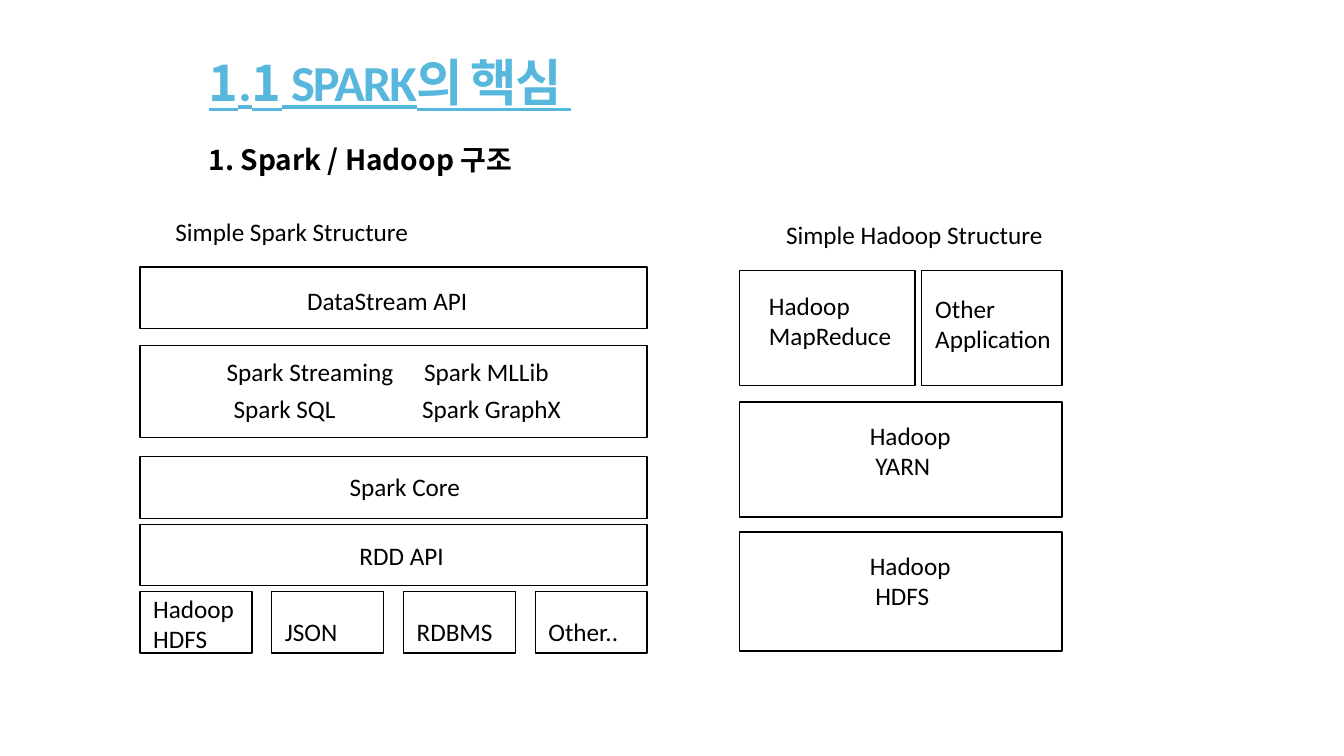
import dataclasses

import pptx
import pptx.dml.color
import pptx.enum.shapes
import pptx.enum.text
import pptx.oxml
import pptx.oxml.ns
import pptx.util

Cm = pptx.util.Cm
Pt = pptx.util.Pt


@dataclasses.dataclass(frozen=True)
class Theme:
    latin: str = "Calibri"
    korean: str = "Noto Sans CJK KR"
    accent: str = "58B7DD"
    ink: str = "000000"
    paper: str = "FFFFFF"
    title_size: int = 36
    subtitle_size: int = 20
    label_size: int = 18
    line_width: int = 1
    title_spacing: int = -140


def color(value):
    return pptx.dml.color.RGBColor.from_string(value)


def write(paragraph, text, *, font, size, ink, east_asian=None, bold=False,
          underline=False, spacing=0):
    run = paragraph.add_run()
    run.text = text
    run.font.name = font
    run.font.size = Pt(size)
    run.font.bold = bold
    run.font.underline = underline
    run.font.color.rgb = color(ink)
    properties = run.font._element
    properties.set("spc", str(spacing))
    if east_asian:
        face = pptx.oxml.parse_xml(
            f'<a:ea {pptx.oxml.ns.nsdecls("a")} typeface="{east_asian}"/>')
        properties.find(pptx.oxml.ns.qn("a:latin")).addnext(face)


class StructureSlide:
    def __init__(self, presentation, theme):
        self.theme = theme
        self.slide = presentation.slides.add_slide(presentation.slide_layouts[1])

    def place(self, placeholder, left, top, width, height):
        placeholder.left, placeholder.top = Cm(left), Cm(top)
        placeholder.width, placeholder.height = Cm(width), Cm(height)
        frame = placeholder.text_frame
        frame.margin_left = frame.margin_right = 0
        frame.margin_top = frame.margin_bottom = 0
        frame.auto_size = pptx.enum.text.MSO_AUTO_SIZE.NONE
        frame.vertical_anchor = pptx.enum.text.MSO_ANCHOR.TOP
        frame.word_wrap = True
        paragraph = frame.paragraphs[0]
        paragraph.alignment = pptx.enum.text.PP_ALIGN.LEFT
        paragraph.space_before = Pt(0)
        return paragraph

    def title(self, parts, *bounds):
        heading = self.place(self.slide.shapes.title, *bounds)
        for text, font in parts:
            write(heading, text, font=font, size=self.theme.title_size,
                  ink=self.theme.accent, east_asian=self.theme.korean,
                  bold=True, underline=True, spacing=self.theme.title_spacing)

    def subtitle(self, text, *bounds):
        item = self.place(self.slide.placeholders[1], *bounds)
        properties = item._p.get_or_add_pPr()
        properties.set("marL", "0")
        properties.set("indent", "0")
        properties.append(pptx.oxml.parse_xml(
            f'<a:buNone {pptx.oxml.ns.nsdecls("a")}/>'))
        write(item, text, font=self.theme.korean, size=self.theme.subtitle_size,
              ink=self.theme.ink, east_asian=self.theme.korean, bold=True)

    def layer(self, left, top, width, height):
        box = self.slide.shapes.add_shape(
            pptx.enum.shapes.MSO_SHAPE.RECTANGLE,
            Cm(left), Cm(top), Cm(width), Cm(height))
        box.shadow.inherit = False
        box.fill.solid()
        box.fill.fore_color.rgb = color(self.theme.paper)
        box.line.color.rgb = color(self.theme.ink)
        box.line.width = Pt(self.theme.line_width)

    def label(self, text, left, top, width=5.6, second_indent=0):
        lines = text.split("\n")
        area = self.slide.shapes.add_textbox(
            Cm(left), Cm(top), Cm(width), Cm(0.25 + 0.77 * len(lines)))
        frame = area.text_frame
        frame.word_wrap = True
        for number, line in enumerate(lines):
            paragraph = frame.add_paragraph() if number else frame.paragraphs[0]
            if number and second_indent:
                paragraph._p.get_or_add_pPr().set("marL", str(Cm(second_indent)))
            write(paragraph, line, font=self.theme.latin,
                  size=self.theme.label_size, ink=self.theme.ink)


theme = Theme()
presentation = pptx.Presentation()
presentation.slide_width = Cm(33.87)
presentation.slide_height = Cm(19.05)
page = StructureSlide(presentation, theme)

page.title([("1", theme.korean), (".", theme.latin), ("1", theme.korean),
            (" SPARK의 핵심 ", theme.latin)], 5.26, 1.3, 23.27, 1.9)
page.subtitle("1. Spark / Hadoop 구조", 5.26, 3.6, 23.27, 1.1)

spark_left, spark_width, row_height = 3.53, 12.78, 1.55
for top, height in [(6.73, row_height), (8.71, 2.31),
                    (11.51, row_height), (13.21, row_height)]:
    page.layer(spark_left, top, spark_width, height)

spark_labels = [
    ("Simple Spark Structure", 4.17, 5.33),
    ("DataStream API", 7.49, 7.06),
    ("Spark Streaming", 5.46, 8.86),
    ("Spark MLLib", 10.44, 8.86),
    ("Spark SQL", 5.64, 9.78),
    ("Spark GraphX", 10.39, 9.78),
    ("Spark Core", 8.56, 11.76),
    ("RDD API", 8.81, 13.49),
]
for text, left, top in spark_labels:
    page.label(text, left, top, 6.5)

source_width = 2.82
source_step = (spark_width - source_width) / 3
data_sources = [("Hadoop\nHDFS", 14.83), ("JSON", 15.4),
                ("RDBMS", 15.4), ("Other..", 15.4)]
for column, (text, top) in enumerate(data_sources):
    left = spark_left + column * source_step
    page.layer(left, 14.91, source_width, row_height)
    page.label(text, left + 0.08, top, source_width)

hadoop_left, hadoop_width = 18.64, 8.13
page.label("Simple Hadoop Structure", 19.56, 5.41, 7.67)
page.layer(hadoop_left, 6.81, 4.42, 2.9)
page.label("Hadoop\nMapReduce", 19.13, 7.19, 3.8)
page.layer(23.22, 6.81, 3.55, 2.9)
page.label("Other\nApplication", 23.32, 7.26, 3.6)
for part, top, height in [("YARN", 10.13, 2.9), ("HDFS", 13.41, 3)]:
    page.layer(hadoop_left, top, hadoop_width, height)
    page.label(f"Hadoop\n{part}", 21.67, top + 0.33, 2.8, second_indent=0.14)

presentation.save("out.pptx")
